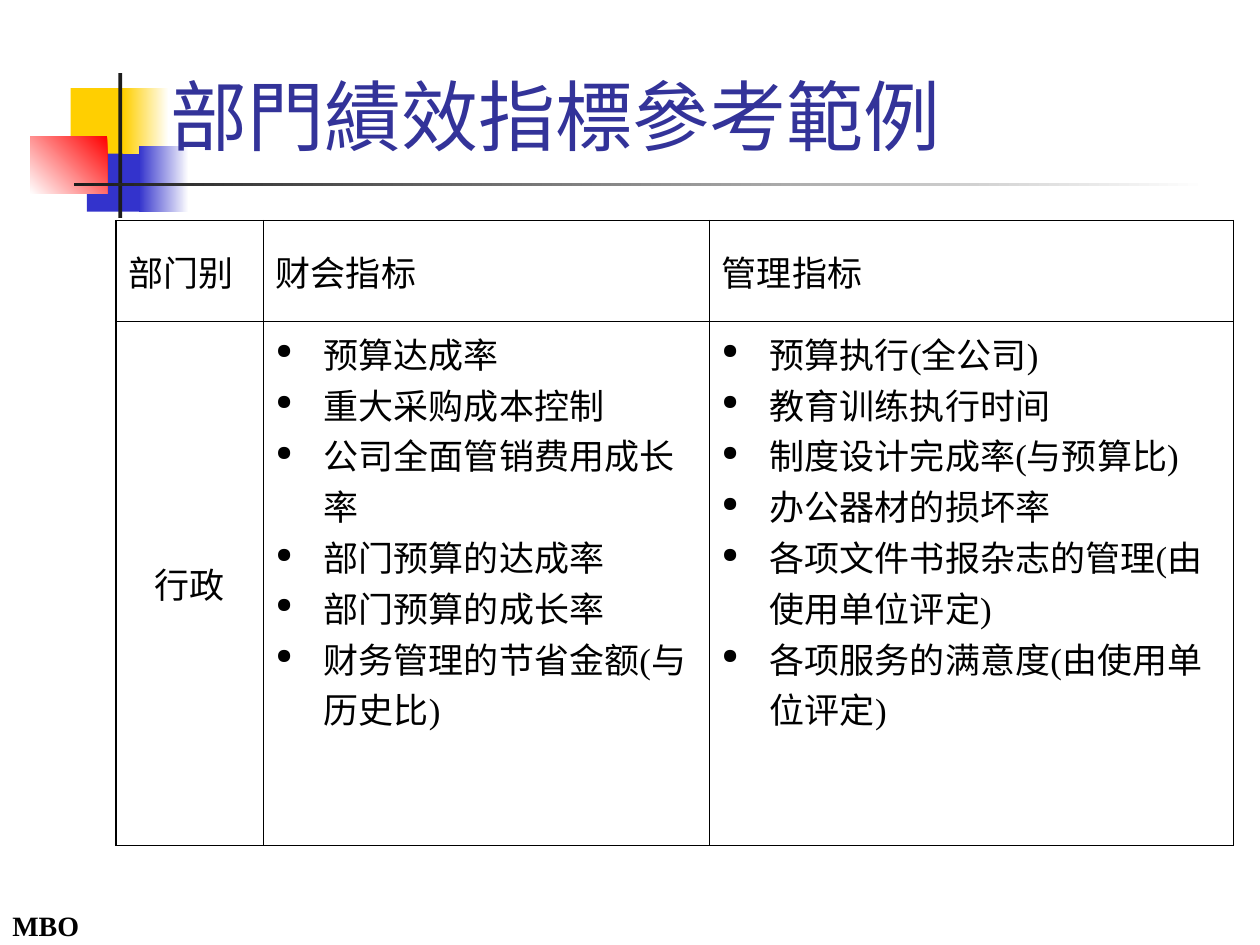
from lxml import etree
from pptx import Presentation
from pptx.dml.color import RGBColor
from pptx.enum.shapes import MSO_SHAPE
from pptx.enum.text import MSO_ANCHOR, PP_ALIGN
from pptx.oxml.ns import qn
from pptx.util import Inches, Pt

RECTANGLE = MSO_SHAPE.RECTANGLE
LEFT, CENTER = PP_ALIGN.LEFT, PP_ALIGN.CENTER
TOP, MIDDLE, BOTTOM = MSO_ANCHOR.TOP, MSO_ANCHOR.MIDDLE, MSO_ANCHOR.BOTTOM

BLACK = RGBColor(0x00, 0x00, 0x00)
WHITE = RGBColor(0xFF, 0xFF, 0xFF)
CHARCOAL = RGBColor(0x1C, 0x1C, 0x1C)
BLUE = RGBColor(0x33, 0x33, 0xCC)
YELLOW = RGBColor(0xFF, 0xCF, 0x01)
RED = RGBColor(0xFF, 0x00, 0x00)
INDIGO = RGBColor(0x33, 0x33, 0x99)

TITLE_FONT, BODY_FONT = "Karla", "Times New Roman"
OUTER_LINE, INNER_LINE = Pt(0.96), Pt(0.45)
INDENT = Inches(0.38)
TITLE_ONLY = 5

COLUMN_WIDTHS = (1.17, 3.54, 4.16)
ROW_HEIGHTS = (0.8, 4.16)
HEADINGS = ("部门别", "财会指标", "管理指标")
DEPARTMENT = "行政"
FINANCE_MEASURES = (
    "预算达成率",
    "重大采购成本控制",
    "公司全面管销费用成长率",
    "部门预算的达成率",
    "部门预算的成长率",
    "财务管理的节省金额(与历史比)",
)
MANAGEMENT_MEASURES = (
    "预算执行(全公司)",
    "教育训练执行时间",
    "制度设计完成率(与预算比)",
    "办公器材的损坏率",
    "各项文件书报杂志的管理(由使用单位评定)",
    "各项服务的满意度(由使用单位评定)",
)

# Back to front: left, top, width, height, start colour, end colour, clockwise angle
ORNAMENT = (
    (0.69, 1.16, 0.46, 0.52, BLUE, None, 0),
    (0.56, 0.7, 0.48, 0.52, YELLOW, None, 0),
    (0.98, 0.7, 0.36, 0.52, WHITE, YELLOW, 180),
    (1.1, 1.16, 0.4, 0.52, WHITE, BLUE, 180),
    (0.24, 1.08, 0.61, 0.46, RED, WHITE, 135),
    (0.94, 0.58, 0.03, 1.15, CHARCOAL, None, 0),
    (0.59, 1.45, 9, 0.03, WHITE, CHARCOAL, 180),
)


def add_run(paragraph, text, size, font, color, bold=False):
    run = paragraph.add_run()
    run.text = text
    run.font.size = Pt(size)
    run.font.name = font
    run.font.color.rgb = color
    run.font.bold = bold


def add_ornament(slide):
    group = slide.shapes.add_group_shape()
    for left, top, width, height, start, end, angle in ORNAMENT:
        block = group.shapes.add_shape(
            RECTANGLE, Inches(left), Inches(top), Inches(width), Inches(height))
        block.shadow.inherit = False
        block.line.fill.background()
        if end is None:
            block.fill.solid()
            block.fill.fore_color.rgb = start
            continue
        block.fill.gradient()
        block.fill.gradient_angle = 360 - angle
        for stop, color in zip(block.fill.gradient_stops, (start, end)):
            stop.color.rgb = color


def add_footer(slide):
    footer = slide.shapes.add_textbox(0, Inches(7.16), Inches(1.38), Inches(0.37))
    footer.text_frame.word_wrap = True
    paragraph = footer.text_frame.paragraphs[0]
    paragraph.space_before = Pt(10)
    add_run(paragraph, "MBO", 16, BODY_FONT, BLACK, bold=True)
    return footer


def format_title(title, behind):
    behind.element.addnext(title.element)  # keep the title above the ornament
    title.left, title.top = Inches(1.25), Inches(0.33)
    title.width, title.height = Inches(8.52), Inches(1)
    title.text_frame.vertical_anchor = BOTTOM
    paragraph = title.text_frame.paragraphs[0]
    paragraph.alignment = LEFT
    add_run(paragraph, "部門績效指標參考範例", 44, TITLE_FONT, INDIGO)


def set_hanging_indent(paragraph, bulleted):
    properties = paragraph._p.get_or_add_pPr()
    properties.set("marL", str(INDENT))
    properties.set("indent", str(-INDENT))
    if bulleted:
        bullet_color = etree.SubElement(properties, qn("a:buClr"))
        etree.SubElement(bullet_color, qn("a:srgbClr"), val=str(BLACK))
        etree.SubElement(properties, qn("a:buSzPct"), val="60000")
        etree.SubElement(properties, qn("a:buChar"), char="●")


def set_borders(cell, outer_edges):
    properties = cell._tc.get_or_add_tcPr()
    for edge in "LRTB":
        width = OUTER_LINE if edge in outer_edges else INNER_LINE
        line = etree.SubElement(properties, qn(f"a:ln{edge}"), w=str(width))
        fill = etree.SubElement(line, qn("a:solidFill"))
        etree.SubElement(fill, qn("a:srgbClr"), val=str(BLACK))


def fill_cell(cell, lines, anchor, alignment, bulleted):
    cell.vertical_anchor = anchor
    frame = cell.text_frame
    for number, line in enumerate(lines):
        paragraph = frame.add_paragraph() if number else frame.paragraphs[0]
        paragraph.alignment = alignment
        set_hanging_indent(paragraph, bulleted)
        add_run(paragraph, line, 20, BODY_FONT, BLACK)


def add_measures_table(slide):
    table = slide.shapes.add_table(
        len(ROW_HEIGHTS), len(COLUMN_WIDTHS), Inches(0.92), Inches(1.75),
        Inches(sum(COLUMN_WIDTHS)), Inches(sum(ROW_HEIGHTS))).table
    table.first_row = table.horz_banding = False
    for column, width in zip(table.columns, COLUMN_WIDTHS):
        column.width = Inches(width)
    for row, height in zip(table.rows, ROW_HEIGHTS):
        row.height = Inches(height)

    # Thick lines around the table, thin lines inside it
    last_column = len(COLUMN_WIDTHS) - 1
    for r, row in enumerate(table.rows):
        for c, cell in enumerate(row.cells):
            side = {0: "L", last_column: "R"}.get(c, "")
            set_borders(cell, side + "TB"[r])
            cell.fill.background()

    for c, heading in enumerate(HEADINGS):
        fill_cell(table.cell(0, c), [heading], MIDDLE, LEFT, False)
    fill_cell(table.cell(1, 0), [DEPARTMENT], MIDDLE, CENTER, False)
    for c, measures in enumerate((FINANCE_MEASURES, MANAGEMENT_MEASURES), start=1):
        fill_cell(table.cell(1, c), measures, TOP, LEFT, True)


def main():
    deck = Presentation()
    deck.slide_width, deck.slide_height = Inches(10), Inches(7.5)
    slide = deck.slides.add_slide(deck.slide_layouts[TITLE_ONLY])

    add_ornament(slide)
    footer = add_footer(slide)
    format_title(slide.shapes.title, footer)
    add_measures_table(slide)

    deck.save("out.pptx")


if __name__ == "__main__":
    main()
